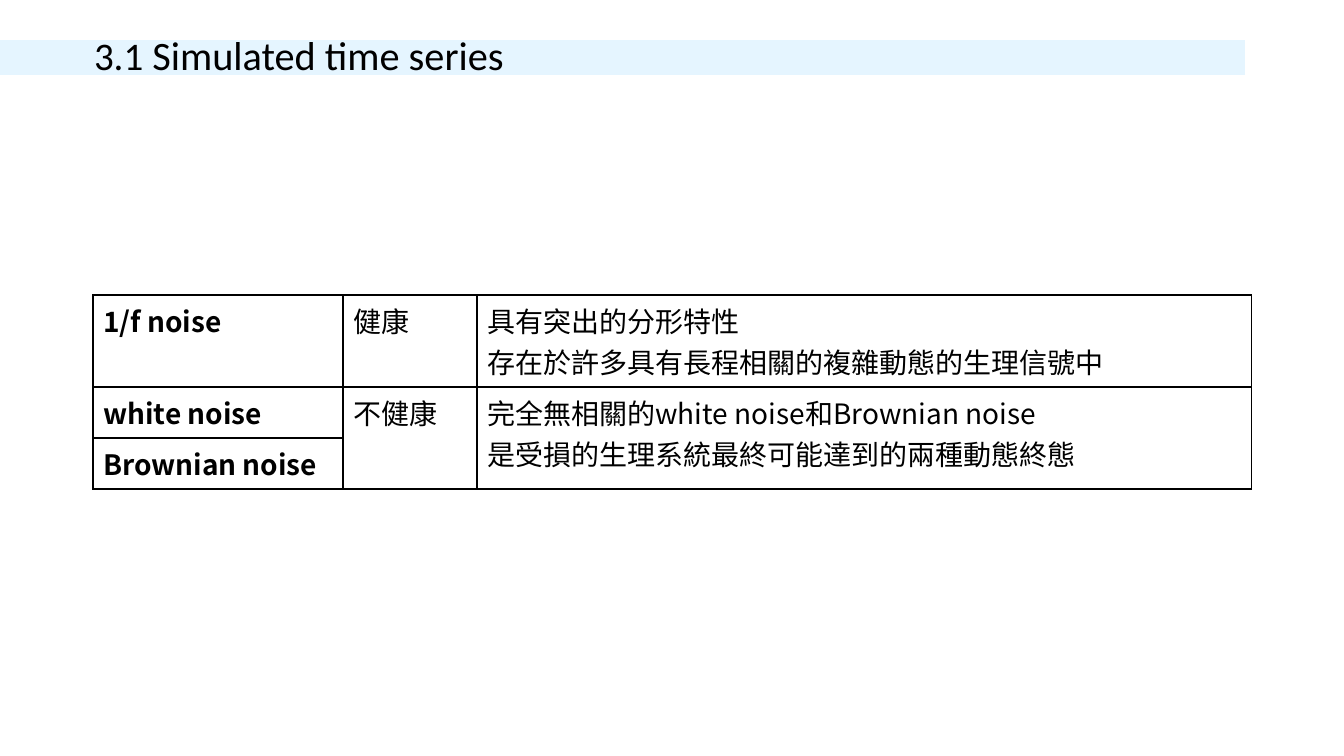
import pptx
import pptx.dml.color
import pptx.enum.text
import pptx.oxml
import pptx.oxml.ns
import pptx.util
from dataclasses import dataclass
from lxml import etree

# Content
TITLE_RUNS = [("3.1", 27.9), (" Simulated time series", 28.8)]
ROWS = [
    ("1/f noise", "健康", "具有突出的分形特性\n存在於許多具有長程相關的複雜動態的生理信號中"),
    ("white noise", "不健康",
     "完全無相關的white noise和Brownian noise\n是受損的生理系統最終可能達到的兩種動態終態"),
    ("Brownian noise", "", ""),
]
MERGED_COLUMNS = (1, 2)

# Layout in px
SLIDE_SIZE = (1344, 756)
TITLE_BOX = (-17, 40, 1262, 35)
TITLE_INDENT = 111
TABLE_ORIGIN = (93, 295)
COLUMN_WIDTHS = (250, 134, 775)
ROW_HEIGHTS = (92, 51, 51)
EMU_PER_PX = 914400 / 100.8


@dataclass(frozen=True)
class Theme:
    ink: str = "000000"
    band: str = "CCECFF"
    band_opacity: int = 50
    title_font: str = "Calibri"
    table_font: str = "Noto Sans CJK SC"
    table_size: int = 20
    border_width: int = 1


THEME = Theme()


def px(length):
    return pptx.util.Emu(round(length * EMU_PER_PX))


def set_font(font, name, size, bold=False):
    font.name = name
    font.size = pptx.util.Pt(size)
    font.bold = bold
    font.color.rgb = pptx.dml.color.RGBColor.from_string(THEME.ink)


def add_title(slide):
    title = slide.shapes.title
    title.left, title.top, title.width, title.height = map(px, TITLE_BOX)
    title.fill.solid()
    title.fill.fore_color.rgb = pptx.dml.color.RGBColor.from_string(THEME.band)
    color = title.fill._xPr.find(".//" + pptx.oxml.ns.qn("a:srgbClr"))
    etree.SubElement(color, pptx.oxml.ns.qn("a:alpha"), val=str(THEME.band_opacity * 1000))

    frame = title.text_frame
    frame.auto_size = pptx.enum.text.MSO_AUTO_SIZE.NONE
    frame.vertical_anchor = pptx.enum.text.MSO_ANCHOR.MIDDLE
    frame.margin_left = px(TITLE_INDENT)
    paragraph = frame.paragraphs[0]
    paragraph.alignment = pptx.enum.text.PP_ALIGN.LEFT
    paragraph.line_spacing = 0.9
    for text, size in TITLE_RUNS:
        run = paragraph.add_run()
        run.text = text
        set_font(run.font, THEME.title_font, size)


def set_borders(cell):
    properties = cell._tc.get_or_add_tcPr()
    width = pptx.util.Pt(THEME.border_width)
    for position, side in enumerate(("lnL", "lnR", "lnT", "lnB")):
        properties.insert(position, pptx.oxml.parse_xml(
            f'<a:{side} {pptx.oxml.ns.nsdecls("a")} w="{width}"><a:solidFill>'
            f'<a:srgbClr val="{THEME.ink}"/></a:solidFill></a:{side}>'))


def fill_cell(cell, text, bold):
    cell.fill.background()
    set_borders(cell)
    cell.text = text
    for paragraph in cell.text_frame.paragraphs:
        set_font(paragraph.font, THEME.table_font, THEME.table_size, bold)
        east_asian = pptx.oxml.parse_xml(
            f'<a:ea {pptx.oxml.ns.nsdecls("a")} typeface="{THEME.table_font}"/>')
        paragraph.font._element.find(pptx.oxml.ns.qn("a:latin")).addnext(east_asian)


def add_noise_table(slide):
    size = (sum(COLUMN_WIDTHS), sum(ROW_HEIGHTS))
    table = slide.shapes.add_table(
        len(ROWS), len(COLUMN_WIDTHS), *map(px, TABLE_ORIGIN + size)).table
    table.first_row = table.horz_banding = False
    for column, width in zip(table.columns, COLUMN_WIDTHS):
        column.width = px(width)
    for row, height in zip(table.rows, ROW_HEIGHTS):
        row.height = px(height)
    for row_index, texts in enumerate(ROWS):
        for column_index, text in enumerate(texts):
            fill_cell(table.cell(row_index, column_index), text, bold=column_index == 0)
    for column_index in MERGED_COLUMNS:
        table.cell(1, column_index).merge(table.cell(2, column_index))


def main():
    presentation = pptx.Presentation()
    presentation.slide_width, presentation.slide_height = map(px, SLIDE_SIZE)
    slide = presentation.slides.add_slide(presentation.slide_layouts[5])
    add_title(slide)
    add_noise_table(slide)
    presentation.save("out.pptx")


if __name__ == "__main__":
    main()
